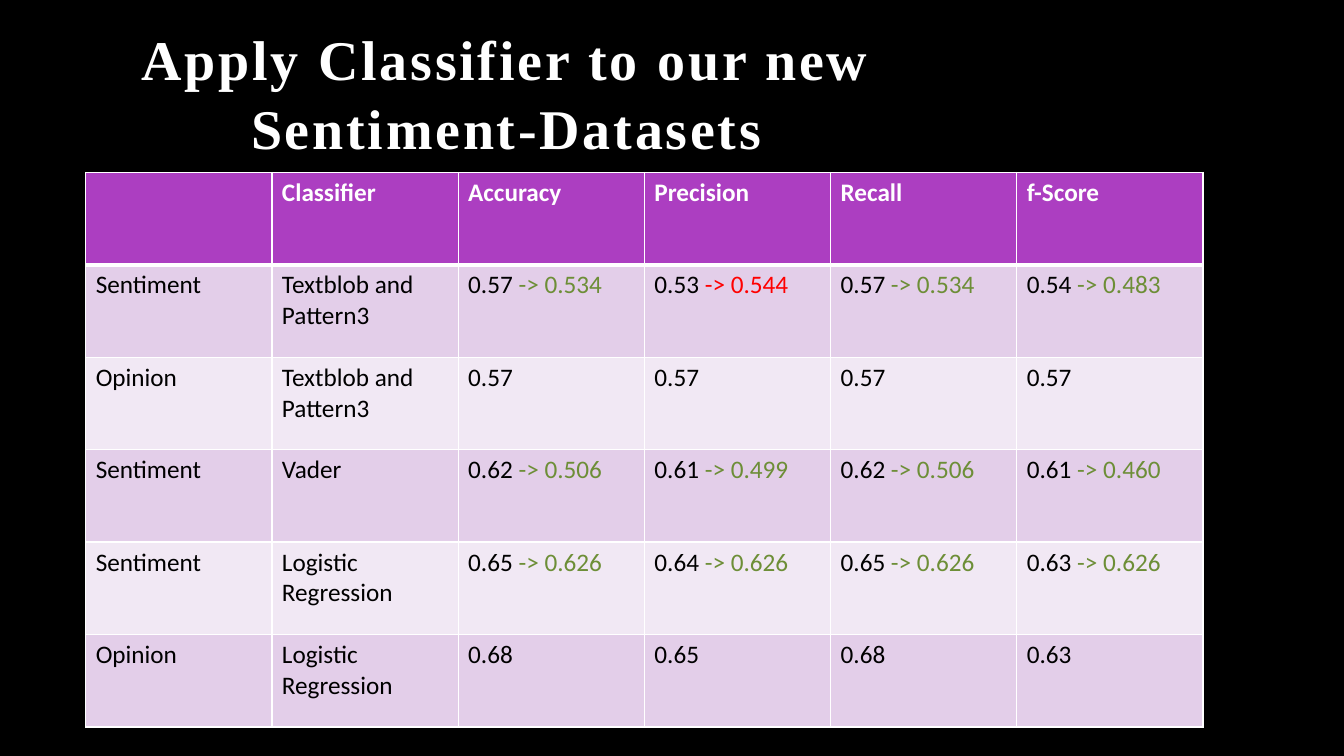
from dataclasses import dataclass

from lxml import etree
from pptx import Presentation
from pptx.dml.color import RGBColor
from pptx.enum.text import MSO_ANCHOR, MSO_AUTO_SIZE, PP_ALIGN
from pptx.oxml.ns import qn
from pptx.util import Inches, Pt

CENTER, LEFT = PP_ALIGN.CENTER, PP_ALIGN.LEFT
MIDDLE = MSO_ANCHOR.MIDDLE
NO_AUTOFIT = MSO_AUTO_SIZE.NONE

BLACK = RGBColor(0x00, 0x00, 0x00)
WHITE = RGBColor(0xFF, 0xFF, 0xFF)
PURPLE = RGBColor(0xAC, 0x3E, 0xC1)
BAND_DARK = RGBColor(0xE3, 0xCE, 0xE9)
BAND_LIGHT = RGBColor(0xF1, 0xE8, 0xF4)
GREEN = RGBColor(0x6D, 0x8E, 0x37)
RED = RGBColor(0xFF, 0x00, 0x00)

THIN, THICK = Pt(1), Pt(3)
COL_W, ROW_H = 1.847, 0.917


@dataclass
class Score:
    before: str
    after: str = ""

    def change_color(self) -> RGBColor:
        """Green for a lower score on the new dataset, red for a higher one."""
        return RED if float(self.after) > float(self.before) else GREEN


@dataclass
class Result:
    task: str
    classifier: str
    scores: list[Score]


HEADERS = ["", "Classifier", "Accuracy", "Precision", "Recall", "f-Score"]
RESULTS = [
    Result("Sentiment", "Textblob and Pattern3",
           [Score("0.57", "0.534"), Score("0.53", "0.544"),
            Score("0.57", "0.534"), Score("0.54", "0.483")]),
    Result("Opinion", "Textblob and Pattern3", [Score("0.57")] * 4),
    Result("Sentiment", "Vader",
           [Score("0.62", "0.506"), Score("0.61", "0.499"),
            Score("0.62", "0.506"), Score("0.61", "0.460")]),
    Result("Sentiment", "Logistic Regression",
           [Score("0.65", "0.626"), Score("0.64", "0.626"),
            Score("0.65", "0.626"), Score("0.63", "0.626")]),
    Result("Opinion", "Logistic Regression",
           [Score("0.68"), Score("0.65"), Score("0.68"), Score("0.63")]),
]


def add_text(tf, text: str, *, size: float = 18, font: str = "Calibri",
             color: RGBColor = BLACK, bold: bool = False, align=LEFT,
             spacing: float = 0) -> None:
    """Append a formatted run to the first paragraph."""
    p = tf.paragraphs[0]
    p.alignment = align
    r = p.add_run()
    r.text = text
    r.font.size, r.font.name, r.font.bold = Pt(size), font, bold
    r.font.color.rgb = color
    if spacing:
        r.font._element.set("spc", str(int(spacing * 100)))


def style_cell(cell, fill: RGBColor, top: int = THIN, bottom: int = THIN) -> None:
    """Fill a cell and give it white borders."""
    cell.fill.solid()
    cell.fill.fore_color.rgb = fill
    tc_pr = cell._tc.get_or_add_tcPr()
    widths = {"a:lnL": THIN, "a:lnR": THIN, "a:lnT": top, "a:lnB": bottom}
    for i, (tag, width) in enumerate(widths.items()):
        ln = etree.Element(qn(tag), w=str(int(width)))
        solid = etree.SubElement(ln, qn("a:solidFill"))
        etree.SubElement(solid, qn("a:srgbClr"), val=str(WHITE))
        tc_pr.insert(i, ln)


def add_title(s, text: str) -> None:
    title = s.shapes.title
    title.left, title.top = Inches(0.36), Inches(0.18)
    title.width, title.height = Inches(9.33), Inches(1.45)
    tf = title.text_frame
    tf.word_wrap = True
    tf.auto_size = NO_AUTOFIT
    tf.vertical_anchor = MIDDLE
    add_text(tf, text, size=40, font="Times New Roman", color=WHITE,
             bold=True, align=CENTER, spacing=2)
    tf.paragraphs[0].line_spacing = 1.04


def add_results(s, results: list[Result]) -> None:
    rows, cols = len(results) + 1, len(HEADERS)
    table = s.shapes.add_table(rows, cols, Inches(0.85), Inches(1.71),
                               Inches(COL_W * cols), Inches(ROW_H * rows)).table
    for col in table.columns:
        col.width = Inches(COL_W)
    for row in table.rows:
        row.height = Inches(ROW_H)

    # Header row
    for c, header in enumerate(HEADERS):
        cell = table.cell(0, c)
        style_cell(cell, PURPLE, bottom=THICK)
        if header:
            add_text(cell.text_frame, header, color=WHITE, bold=True)

    # Banded result rows
    for r, result in enumerate(results, start=1):
        for c in range(cols):
            style_cell(table.cell(r, c), BAND_DARK if r % 2 else BAND_LIGHT,
                       top=THICK if r == 1 else THIN)
        add_text(table.cell(r, 0).text_frame, result.task)
        add_text(table.cell(r, 1).text_frame, result.classifier)
        for c, score in enumerate(result.scores, start=2):
            tf = table.cell(r, c).text_frame
            if score.after:
                add_text(tf, f"{score.before} ")
                add_text(tf, f"-> {score.after}", color=score.change_color())
            else:
                add_text(tf, score.before)


prs = Presentation()
prs.slide_width, prs.slide_height = Inches(13.33), Inches(7.5)
s = prs.slides.add_slide(prs.slide_layouts[5])
s.background.fill.solid()
s.background.fill.fore_color.rgb = BLACK

add_title(s, "Apply Classifier to our new Sentiment-Datasets")
add_results(s, RESULTS)

prs.save("out.pptx")
